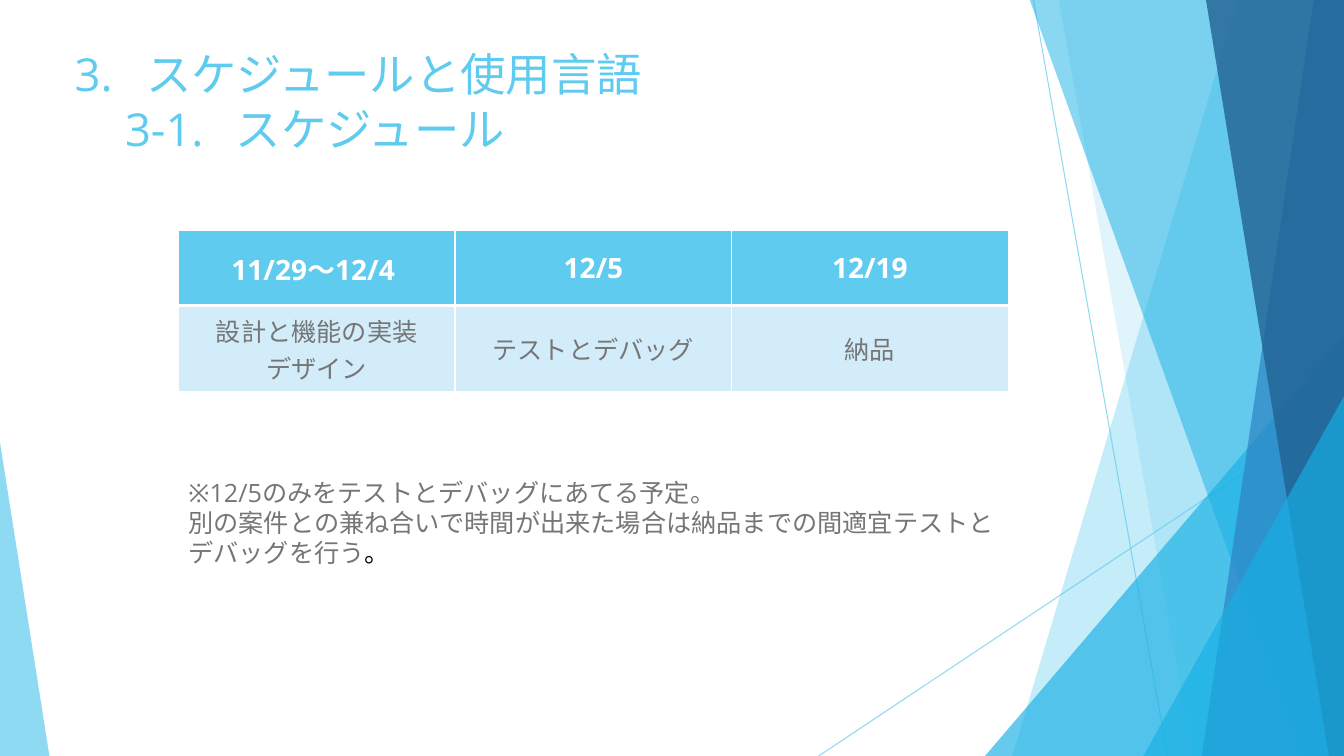
from lxml.etree import SubElement
from pptx import Presentation
from pptx.dml.color import RGBColor
from pptx.enum.shapes import MSO_CONNECTOR, MSO_SHAPE
from pptx.enum.text import MSO_ANCHOR, MSO_AUTO_SIZE, PP_ALIGN
from pptx.oxml.ns import qn
from pptx.util import Inches, Pt

COLORS = {
    "sky": "5FCBEF", "cyan": "17B0E4", "blue": "2E83C3", "navy": "226292",
    "pale": "D2ECF9", "gray": "767676", "white": "FFFFFF", "black": "000000",
}
WIDTH, HEIGHT = 13.33, 7.5
TOP = -0.01

LINES = [((10.25, 0), (11.58, HEIGHT)), ((WIDTH, 4.03), (8.12, HEIGHT))]
# Bands: top x, foot x, color, opacity. Peaks: box, apex, color, opacity.
DECOR = [
    ("band", (12.28, 10.04), "sky", 36),
    ("band", (10.5, 11.83), "sky", 20),
    ("peak", (9.77, 3.33, 3.56, 4.17), 1, "cyan", 66),
    ("band", (10.21, 12.91), "cyan", 50),
    ("band", (13.03, 11.92), "blue", 70),
    ("band", (11.96, 13.18), "navy", 80),
    ("peak", (11.34, 3.93, 1.99, 3.57), 1, "cyan", 66),
    ("peak", (0, 4.39, 0.49, 3.11), 0, "sky", 70),
]
TITLE = [
    ("3.\tスケジュールと使用言語", [0.71]),
    ("\t3-1.\tスケジュール", [0.5, 1.6]),
]
PLAN = [
    ["11/29～12/4 ", "12/5", "12/19"],
    ["設計と機能の実装\nデザイン", "テストとデバッグ", "納品"],
]
NOTE = [
    [("※12/5のみをテストとデバッグにあてる予定。", "gray")],
    [("別の案件との兼ね合いで時間が出来た場合は納品までの間適宜テストとデバッグを行う", "gray"),
     ("。", "black")],
]


def box(dims):
    return [Inches(value) for value in dims]


def put(target, values):
    for name, value in values.items():
        setattr(target, name, value)


class Deck:
    font = "Open Sans"

    def __init__(self):
        self.file = Presentation()
        put(self.file, {"slide_width": Inches(WIDTH), "slide_height": Inches(HEIGHT)})
        self.slide = self.file.slides.add_slide(self.file.slide_layouts[5])
        self.shapes = self.slide.shapes

    def tint(self, fill, color, alpha=100):
        fill.solid()
        fill.fore_color.rgb = RGBColor.from_string(COLORS[color])
        if alpha < 100:
            tone = fill._xPr.find(qn("a:solidFill"))[0]
            SubElement(tone, qn("a:alpha"), val=str(alpha * 1000))

    def paint(self, shape, color, alpha):
        self.tint(shape.fill, color, alpha)
        shape.line.fill.background()
        shape.shadow.inherit = False

    def line(self, start, end):
        line = self.shapes.add_connector(MSO_CONNECTOR.STRAIGHT, *box(start + end))
        line.line.width = Pt(0.75)
        self.tint(line.line.fill, "sky", 70)
        SubElement(line._element.spPr, qn("a:effectLst"))

    def band(self, ends, color, alpha):
        """Fill from a slanted left side to the slide's right edge."""
        top, foot = ends
        form = self.shapes.build_freeform(Inches(top), Inches(TOP))
        corners = [(WIDTH, TOP), (WIDTH, HEIGHT), (foot, HEIGHT)]
        form.add_line_segments([box(point) for point in corners], close=True)
        self.paint(form.convert_to_shape(), color, alpha)

    def peak(self, dims, apex, color, alpha):
        shape = self.shapes.add_shape(MSO_SHAPE.ISOSCELES_TRIANGLE, *box(dims))
        shape.adjustments[0] = apex
        self.paint(shape, color, alpha)

    def text(self, part, words, size, color, bold=False):
        run = part.add_run()
        run.text = words
        put(run.font, {"name": self.font, "size": Pt(size), "bold": bold})
        self.tint(run.font.fill, color)

    def title(self, lines, dims):
        shape = self.shapes.title
        put(shape, dict(zip(("left", "top", "width", "height"), box(dims))))
        frame = shape.text_frame
        put(frame, {"word_wrap": True, "vertical_anchor": MSO_ANCHOR.TOP,
                    "auto_size": MSO_AUTO_SIZE.NONE})
        for index, (words, stops) in enumerate(lines):
            part = frame.add_paragraph() if index else frame.paragraphs[0]
            put(part, {"alignment": PP_ALIGN.LEFT, "line_spacing": Pt(39.3),
                       "space_before": Pt(0)})
            tabs = SubElement(part._p.get_or_add_pPr(), qn("a:tabLst"))
            for stop in stops:
                SubElement(tabs, qn("a:tab"), pos=str(Inches(stop)), algn="l")
            self.text(part, words, 32.4, "sky")

    def edge(self, cell, widths):
        props = cell._tc.get_or_add_tcPr()
        for index, (side, width) in enumerate(widths.items()):
            line = props.makeelement(qn(f"a:{side}"), w=str(Pt(width)))
            fill = SubElement(line, qn("a:solidFill"))
            SubElement(fill, qn("a:srgbClr"), val=COLORS["white"])
            props.insert(index, line)

    def table(self, rows, dims, heights):
        grid = self.shapes.add_table(len(rows), len(rows[0]), *box(dims)).table
        for index, (row, height) in enumerate(zip(rows, heights)):
            grid.rows[index].height = Inches(height)
            head = index == 0
            size, color, back = (20, "white", "sky") if head else (18, "gray", "pale")
            for column, text in enumerate(row):
                cell = grid.cell(index, column)
                cell.vertical_anchor = MSO_ANCHOR.MIDDLE
                self.tint(cell.fill, back)
                self.edge(cell, {"lnL": 1, "lnR": 1, "lnT": 1 if head else 3,
                                 "lnB": 3 if head else 1})
                frame = cell.text_frame
                for place, words in enumerate(text.split("\n")):
                    part = frame.add_paragraph() if place else frame.paragraphs[0]
                    part.alignment = PP_ALIGN.CENTER
                    self.text(part, words, size, color, head)

    def note(self, lines, dims):
        frame = self.shapes.add_textbox(*box(dims)).text_frame
        put(frame, {"word_wrap": True, "auto_size": MSO_AUTO_SIZE.SHAPE_TO_FIT_TEXT})
        for index, runs in enumerate(lines):
            part = frame.add_paragraph() if index else frame.paragraphs[0]
            part.line_spacing = Pt(21.5)
            for words, color in runs:
                self.text(part, words, 18, color)


def main():
    deck = Deck()
    for start, end in LINES:
        deck.line(start, end)
    for kind, *values in DECOR:
        draw = deck.band if kind == "band" else deck.peak
        draw(*values)
    deck.title(TITLE, (0.64, 0.4, 9.47, 1.1))
    deck.table(PLAN, (1.77, 2.29, 8.23, 1.6), (0.74, 0.86))
    deck.note(NOTE, (1.77, 4.69, 8.23, 1.01))
    deck.file.save("out.pptx")


if __name__ == "__main__":
    main()
